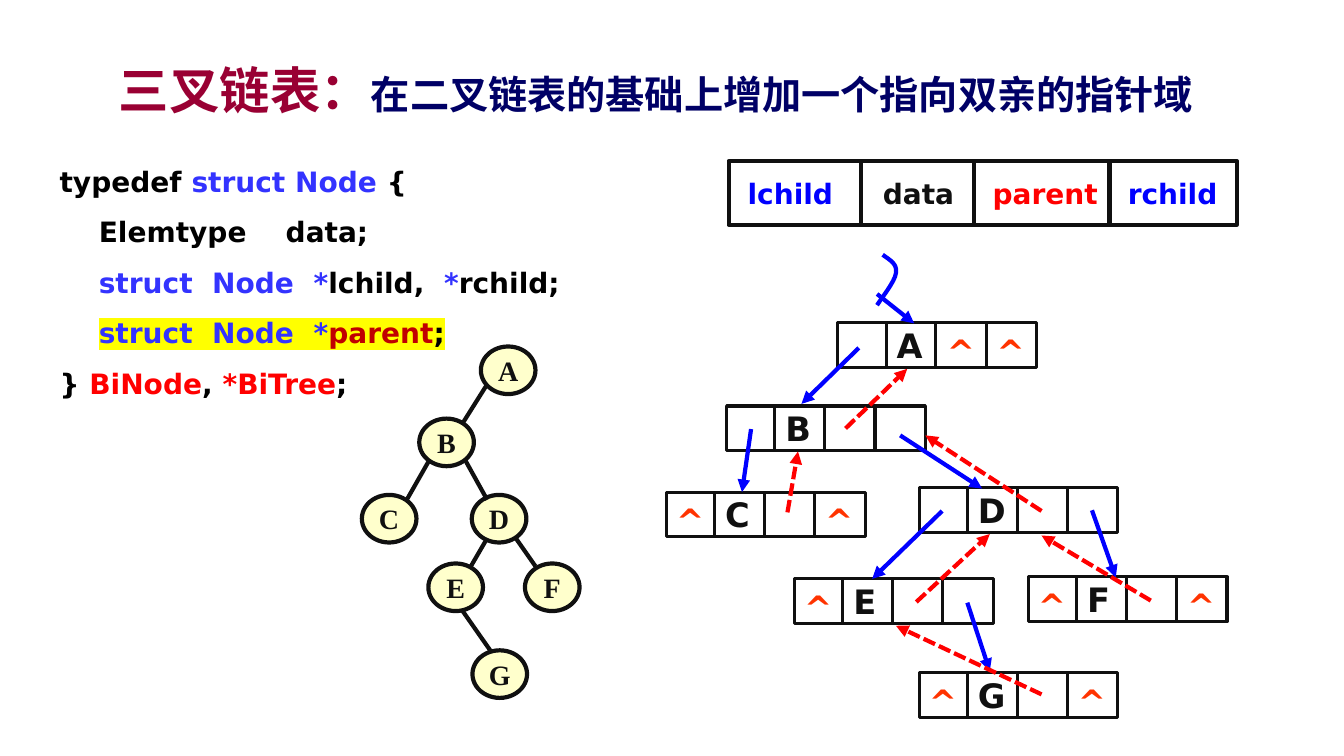
from lxml.etree import SubElement
from pptx import Presentation
from pptx.dml.color import RGBColor
from pptx.enum.dml import MSO_LINE
from pptx.enum.shapes import MSO_CONNECTOR, MSO_SHAPE
from pptx.enum.text import MSO_ANCHOR, PP_ALIGN
from pptx.oxml.ns import qn
from pptx.util import Pt

INK = {"black": "000000", "edge": "101010", "blue": "0000FF", "soft": "3333FF",
       "red": "FF0000", "dark": "C00000", "wine": "990033", "navy": "000066",
       "cream": "FFFFCC", "caret": "FF3300", "yellow": "FFFF00"}


def write(para, text, size=20, color="black", font="DejaVu Sans", bold=True, mark=None):
    run = para.add_run()
    run.text = text
    run.font.size = Pt(size)
    run.font.bold = bold
    run.font.name = font
    run.font.color.rgb = RGBColor.from_string(INK[color])
    if mark:
        light = SubElement(run._r.rPr, qn("a:highlight"))
        SubElement(light, qn("a:srgbClr")).set("val", INK[mark])
        run._r.rPr.find(qn("a:solidFill")).addnext(light)


def join(ends, color="edge", width=3, arrow=False, dash=False):
    """Draw a straight line through ends (x1, y1, x2, y2)."""
    link = slide.shapes.add_connector(MSO_CONNECTOR.STRAIGHT, *[Pt(v) for v in ends])
    link.line.color.rgb = RGBColor.from_string(INK[color])
    link.line.width = Pt(width)
    if dash:
        link.line.dash_style = MSO_LINE.SQUARE_DOT
    if arrow:
        SubElement(link.line._get_or_add_ln(), qn("a:tailEnd")).set("type", "triangle")
    SubElement(link._element.spPr, qn("a:effectLst"))


deck = Presentation()
deck.slide_width, deck.slide_height = Pt(960), Pt(540)
slide = deck.slides.add_slide(deck.slide_layouts[5])

# Title
title = slide.shapes.title
title.left, title.top, title.width, title.height = Pt(31), Pt(42.5), Pt(875), Pt(42.5)
title.text_frame.vertical_anchor = MSO_ANCHOR.MIDDLE
head = title.text_frame.paragraphs[0]
head.alignment = PP_ALIGN.CENTER
write(head, "三叉链表：", size=36, color="wine")
write(head, "在二叉链表的基础上增加一个指向双亲的指针域", size=28, color="navy")

# Struct code: each line is a list of (text, colour, highlight)
CODE = [
    [("typedef ", "black", None), ("struct Node ", "soft", None), ("{", "black", None)],
    [("\tElemtype\tdata;", "black", None)],
    [("\tstruct  Node  *", "soft", None), ("lchild,  ", "black", None),
     ("*", "soft", None), ("rchild;", "black", None)],
    [("\t", "black", None), ("struct  Node  *", "soft", "yellow"),
     ("parent", "dark", "yellow"), (";", "black", "yellow")],
    [("} ", "black", None), ("BiNode", "red", None), (", ", "black", None),
     ("*BiTree", "red", None), (";", "black", None)],
]
code = slide.shapes.add_textbox(Pt(35.5), Pt(102), Pt(417), Pt(194.5)).text_frame
code.word_wrap = True
tabbed = []
for i, parts in enumerate(CODE):
    para = code.add_paragraph() if i else code.paragraphs[0]
    para.line_spacing = 1.5
    tabbed.append((para, (28, 161.5)))
    for text, color, mark in parts:
        write(para, text, color=color, mark=mark)

# Binary tree
TREE = {"A": (343.5, 247.5), "B": (299.5, 299), "C": (258.5, 353.5), "D": (337, 353.5),
        "E": (306, 402.5), "F": (375, 402.5), "G": (337.5, 464.5)}
for name, (x, y) in TREE.items():
    node = slide.shapes.add_shape(MSO_SHAPE.OVAL, Pt(x), Pt(y), Pt(39), Pt(34))
    node.shadow.inherit = False
    node.fill.solid()
    node.fill.fore_color.rgb = RGBColor.from_string(INK["cream"])
    node.line.color.rgb = RGBColor.from_string(INK["edge"])
    node.line.width = Pt(3)
    node.text_frame.word_wrap = False
    node.text_frame.vertical_anchor = MSO_ANCHOR.MIDDLE
    node.text_frame.paragraphs[0].alignment = PP_ALIGN.CENTER
    write(node.text_frame.paragraphs[0], name, color="edge", font="Times New Roman")
for ends in [(348, 274.5, 331, 301.5), (306.5, 329, 290, 358), (332.5, 329, 348, 357),
             (348, 384.5, 335.5, 406), (368.5, 384.5, 382.5, 404.5),
             (330.5, 436.5, 350.5, 465)]:
    join(ends)

# Records: the field header, then one per node: x, y, width, height, line, inset, dividers
FIELDS = [("\tlchild", "blue"), ("\tdata", "edge"), ("\tparent", "red"), ("\trchild", "blue")]
CELLS = [34.5, 70, 106]
LIST = {"A": (598.5, 230.5), "B": (519, 290), "C": (476, 351.5), "D": (656.5, 348.5),
        "E": (567.5, 413.5), "F": (734.5, 412), "G": (656.5, 480.5)}
rows = [("", 520.5, 115, 363, 45.5, 3, 7.2, [94.5, 175.5, 272])]
rows += [(name, x, y, 142, 32, 2.25, 42, CELLS) for name, (x, y) in LIST.items()]
for name, x, y, wide, high, width, inset, cuts in rows:
    box = slide.shapes.add_shape(MSO_SHAPE.RECTANGLE, Pt(x), Pt(y), Pt(wide), Pt(high))
    box.shadow.inherit = False
    box.fill.background()
    box.line.color.rgb = RGBColor.from_string(INK["edge"])
    box.line.width = Pt(width)
    frame = box.text_frame
    frame.word_wrap = True
    frame.margin_left = Pt(inset)
    frame.vertical_anchor = MSO_ANCHOR.MIDDLE
    para = frame.paragraphs[0]
    para.alignment = PP_ALIGN.LEFT
    if name:
        write(para, name, size=24, color="edge")
    else:
        tabbed.append((para, (6.5, 103, 181.5, 278)))
        for text, color in FIELDS:
            write(para, text, color=color)
    for cut in cuts:
        join((x + cut, y, x + cut, y + high), width=width)

for para, stops in tabbed:
    tabs = SubElement(para._p.get_or_add_pPr(), qn("a:tabLst"))
    for stop in stops:
        tab = SubElement(tabs, qn("a:tab"))
        tab.set("pos", str(Pt(stop)))
        tab.set("algn", "l")

# Child and parent pointers
for ends in [(613.5, 248.5, 572.5, 288.5), (536.5, 306.5, 530, 351.5),
             (673, 365, 623, 413.5), (643, 311, 701.5, 349), (780, 364.5, 797, 412.5),
             (691, 430.5, 707, 479.5), (626.5, 210, 653, 231)]:
    join(ends, color="blue", arrow=True)
for ends in [(604, 306, 648, 263.5), (562.5, 366, 570, 322.5), (744, 365, 661, 311),
             (654.5, 430, 707, 381.5), (744, 496, 640, 447), (822, 429, 744, 382.5)]:
    join(ends, color="red", arrow=True, dash=True)

# Root pointer hook, traced along two Bézier curves
HOOK = [[(630.5, 182), (636, 186), (641, 188.5), (640, 195)],
        [(640, 195), (639.5, 201), (628.5, 214.5), (626.5, 218)]]
trace = []
for curve in HOOK:
    for t in [k / 8 for k in range(1, 9)]:
        parts = [(1 - t) ** 3, 3 * t * (1 - t) ** 2, 3 * t * t * (1 - t), t ** 3]
        trace.append([Pt(sum(p * v for p, v in zip(parts, axis))) for axis in zip(*curve)])
pen = slide.shapes.build_freeform(*[Pt(v) for v in HOOK[0][0]])
pen.add_line_segments(trace, close=False)
hook = pen.convert_to_shape()
hook.shadow.inherit = False
hook.fill.background()
hook.line.color.rgb = RGBColor.from_string(INK["blue"])
hook.line.width = Pt(3)

# Null marks by cell
NULLS = {"A": (2, 3), "C": (0, 3), "E": (0,), "F": (0, 3), "G": (0, 3)}
for name, cells in NULLS.items():
    x, y = LIST[name]
    for cell in cells:
        mark = slide.shapes.add_textbox(Pt(x + 1.5 + 35.5 * cell), Pt(y + 0.5), Pt(31), Pt(31))
        frame = mark.text_frame
        frame.word_wrap = False
        frame.vertical_anchor = MSO_ANCHOR.MIDDLE
        frame.margin_left = frame.margin_right = frame.margin_bottom = 0
        frame.margin_top = Pt(8.5)
        frame.paragraphs[0].alignment = PP_ALIGN.CENTER
        write(frame.paragraphs[0], "^", size=24, color="caret")

deck.save("out.pptx")
